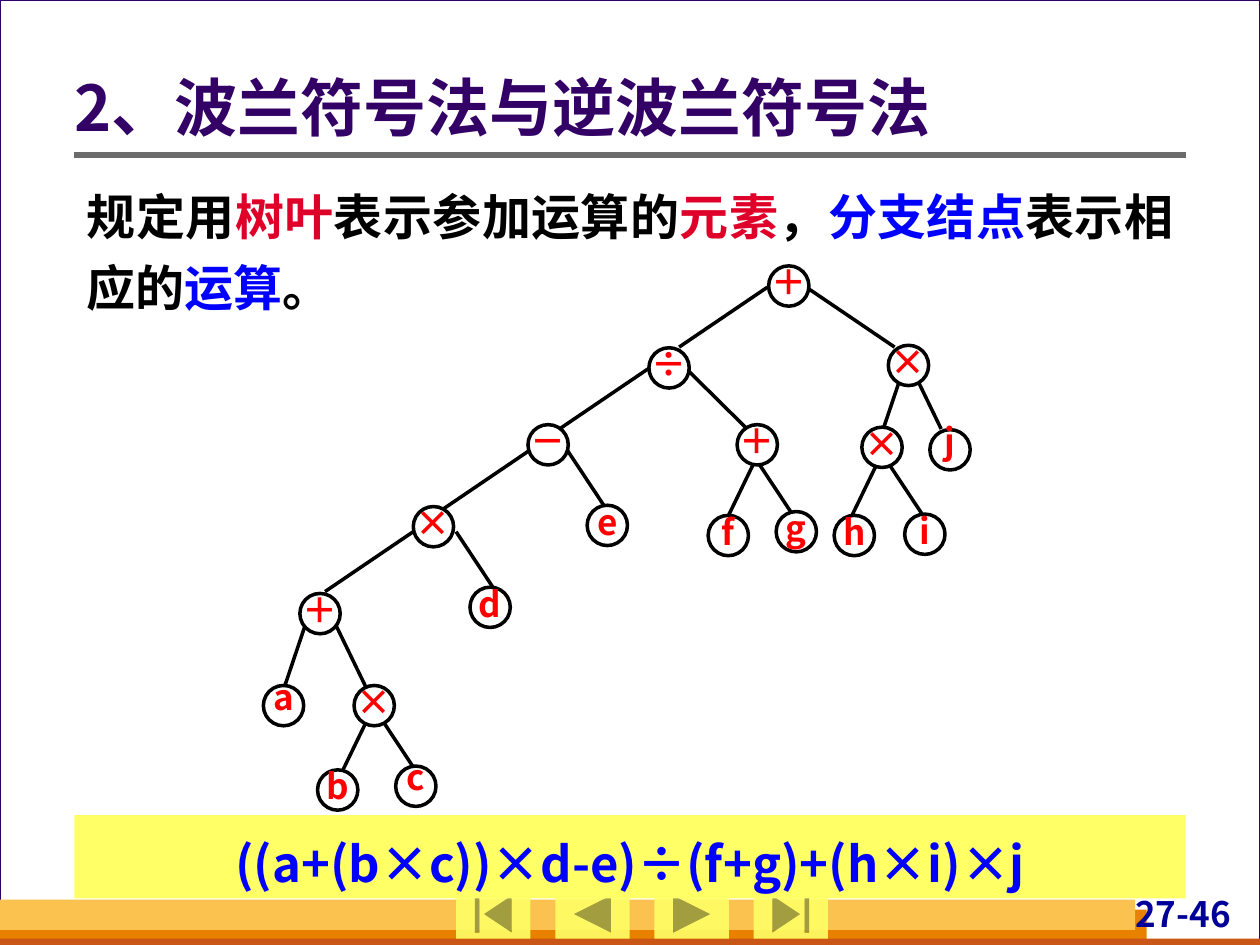
"""Build the slide on Polish and reverse Polish notation with its expression tree."""
import pptx
import pptx.dml.color
import pptx.enum.shapes
import pptx.enum.text
import pptx.oxml.ns
import pptx.util
from lxml import etree

FONT = "Noto Sans CJK SC"
COLUMNS, ROWS = 100, 75
LEFT, WIDTH = 5.9, 88.2
NODE = 3.2
SHAPES = pptx.enum.shapes.MSO_SHAPE
ALIGN = pptx.enum.text.PP_ALIGN
ANCHOR = pptx.enum.text.MSO_ANCHOR

BARS = [
    (0, 0, COLUMNS, ROWS, "FFFFFF", "330066"),
    (0, 72.2, 91, 2.8, "E88000", None),
    (0, 74.5, COLUMNS, 0.5, "C95616", None),
    (0, 71.4, 90.1, 2.4, "FCC24F", None),
]
BUTTONS = [
    SHAPES.ACTION_BUTTON_BEGINNING,
    SHAPES.ACTION_BUTTON_BACK_OR_PREVIOUS,
    SHAPES.ACTION_BUTTON_FORWARD_OR_NEXT,
    SHAPES.ACTION_BUTTON_END,
]
STATEMENT = [
    ("规定用", "000000"), ("树叶", "DF0029"), ("表示参加运算的", "000000"),
    ("元素", "DF0029"), ("，", "000000"), ("分支结点", "0000FF"),
    ("表示相应的", "000000"), ("运算", "0000FF"), ("。", "000000"),
]
NODES = [
    ("＋", 61, 21.1), ("÷", 51.5, 27.6), ("×", 70.5, 27.4),
    ("－", 41.9, 33.7), ("＋", 58.5, 33.7), ("×", 68.4, 33.9),
    ("j", 73.8, 34.1), ("×", 32.8, 40.2), ("e", 46.6, 40.1),
    ("f", 56.2, 40.9), ("g", 61.6, 40.6), ("h", 66.2, 40.9),
    ("i", 71.8, 40.8), ("＋", 23.8, 47.1), ("d", 37.3, 46.6),
    ("a", 20.9, 54.4), ("×", 28.1, 54.4), ("b", 25.2, 61.1),
    ("c", 31.4, 60.8),
]
RAISED = "acj"
BRANCH_DROP = 4.75
BRANCHES = {
    -7: [(60.9, 22.8), (51.4, 29.3), (42.1, 35.7), (32.8, 42.2)],
    7: [(64, 22.8)],
    4.8: [(54.5, 29.3)],
    3.15: [(45, 35.7), (36.2, 42.2), (29.7, 56.2), (59.7, 36), (70, 36)],
    2.3: [(72.4, 29.3), (26.7, 49.7)],
    -2.3: [(29.5, 56.4), (60.1, 36.2), (69.9, 36.2)],
    -1.6: [(71.7, 29.3), (24.2, 49.7)],
}


def grid(*cells):
    """Turn counts of grid cells into lengths."""
    return [pptx.util.Inches(cell / 10) for cell in cells]


def color(value):
    """Return the colour for a hex string."""
    return pptx.dml.color.RGBColor.from_string(value)


def style(paragraph, size, tint, align=None, spacing=None):
    """Set the font and layout of one paragraph."""
    font = paragraph.font
    font.name, font.size, font.bold = FONT, pptx.util.Pt(size), True
    font.color.rgb = color(tint)
    paragraph.alignment, paragraph.line_spacing = align, spacing
    tag = pptx.oxml.ns.qn
    properties = paragraph._p.pPr.find(tag("a:defRPr"))
    etree.SubElement(properties, tag("a:ea"), typeface=FONT)


def set_frame(shape, margins, anchor=ANCHOR.TOP):
    """Set wrapping, margins and anchor, and return the first paragraph."""
    frame = shape.text_frame
    frame.word_wrap, frame.vertical_anchor = True, anchor
    (frame.margin_left, frame.margin_top,
     frame.margin_right, frame.margin_bottom) = grid(*margins)
    return frame.paragraphs[0]


def add_text(page, place, spans, size, align, margins=(0, 0, 0, 0), spacing=None):
    """Add a text box holding one paragraph of coloured spans."""
    box = page.shapes.add_textbox(*grid(*place))
    paragraph = set_frame(box, margins)
    style(paragraph, size, spans[0][1], align, spacing)
    for text, tint in spans:
        span = paragraph.add_run()
        span.text = text
        if len(spans) > 1:
            span.font.color.rgb = color(tint)


def add_block(page, kind, place, fill, line=None, weight=0.75):
    """Add a preset shape with a plain fill and an optional outline."""
    block = page.shapes.add_shape(kind, *grid(*place))
    block.shadow.inherit = False
    block.fill.solid()
    block.fill.fore_color.rgb = color(fill)
    if line:
        block.line.color.rgb = color(line)
        block.line.width = pptx.util.Pt(weight)
    else:
        block.line.fill.background()
    return block


def add_line(page, start, end, tint, weight):
    """Add a straight line between two grid points."""
    line = page.shapes.add_connector(
        pptx.enum.shapes.MSO_CONNECTOR.STRAIGHT, *grid(*start, *end))
    line.line.color.rgb = color(tint)
    line.line.width = pptx.util.Pt(weight)
    etree.SubElement(line._element.spPr, pptx.oxml.ns.qn("a:effectLst"))


def add_button(page, kind, position):
    """Add one translucent navigation button to the row."""
    button = add_block(page, kind, (36.2 + 7.87 * position, 70.6, 5.9, 3.9), "FFFF66")
    tag = pptx.oxml.ns.qn
    tint = button._element.spPr.find(tag("a:solidFill"))[0]
    etree.SubElement(tint, tag("a:alpha"), val="90000")


def add_node(page, symbol, left, top):
    """Add a tree node with its symbol."""
    add_block(page, SHAPES.OVAL, (left, top, NODE, NODE), "FFFFFF", "000000", 2)
    lift = 0.8 if symbol in RAISED else 0.4
    add_text(page, (left, top - lift, NODE, 3.3), [(symbol, "FF0000")], 20, ALIGN.CENTER)


def add_tree(page):
    """Add the branches of the expression tree and then its nodes."""
    for run, starts in BRANCHES.items():
        for left, top in starts:
            add_line(page, (left, top), (left + run, top + BRANCH_DROP), "000000", 2)
    for node in NODES:
        add_node(page, *node)


def add_furniture(page):
    """Add the page frame, footer bars, page number, rule and buttons."""
    for *place, fill, line in BARS:
        add_block(page, SHAPES.RECTANGLE, place, fill, line)
    add_text(page, (88.6, 70.8, 10.6, 3.8), [("27-46", "000099")], 20,
             ALIGN.CENTER, (0.4, 0, 0.4, 0))
    add_line(page, (LEFT, 12.3), (LEFT + WIDTH, 12.3), "6B6B6B", 3)
    for position, kind in enumerate(BUTTONS):
        add_button(page, kind, position)


def set_title(page, text):
    """Fill and place the title in front of the page frame."""
    title = page.shapes.title
    title.left, title.top, title.width, title.height = grid(LEFT, 3.8, WIDTH, 10.1)
    title.text_frame.text = text
    paragraph = set_frame(title, (0, 0.5, 1, 0.5), ANCHOR.MIDDLE)
    style(paragraph, 36, "330066", ALIGN.LEFT, 0.9)
    title._element.getparent().append(title._element)


def add_formula(page, text):
    """Add the highlighted formula strip."""
    strip = add_block(page, SHAPES.RECTANGLE, (LEFT, 64.7, WIDTH, 6.6), "FFFF66")
    paragraph = set_frame(strip, (1, 0.5, 1, 0.5))
    paragraph.text = text
    style(paragraph, 28, "0000FF", ALIGN.CENTER, 1.2)


def main():
    """Build and save the deck."""
    deck = pptx.Presentation()
    deck.slide_width, deck.slide_height = grid(COLUMNS, ROWS)
    page = deck.slides.add_slide(deck.slide_layouts[5])
    page.background.fill.solid()
    page.background.fill.fore_color.rgb = color("D8DADA")
    add_furniture(page)
    set_title(page, "2、波兰符号法与逆波兰符号法")
    add_text(page, (LEFT, 13.4, WIDTH, 12.2), STATEMENT, 28,
             ALIGN.JUSTIFY, (1, 0.5, 1, 0.5), 1.2)
    add_tree(page)
    add_formula(page, "((a+(b×c))×d-e)÷(f+g)+(h×i)×j")
    deck.save("out.pptx")


if __name__ == "__main__":
    main()
